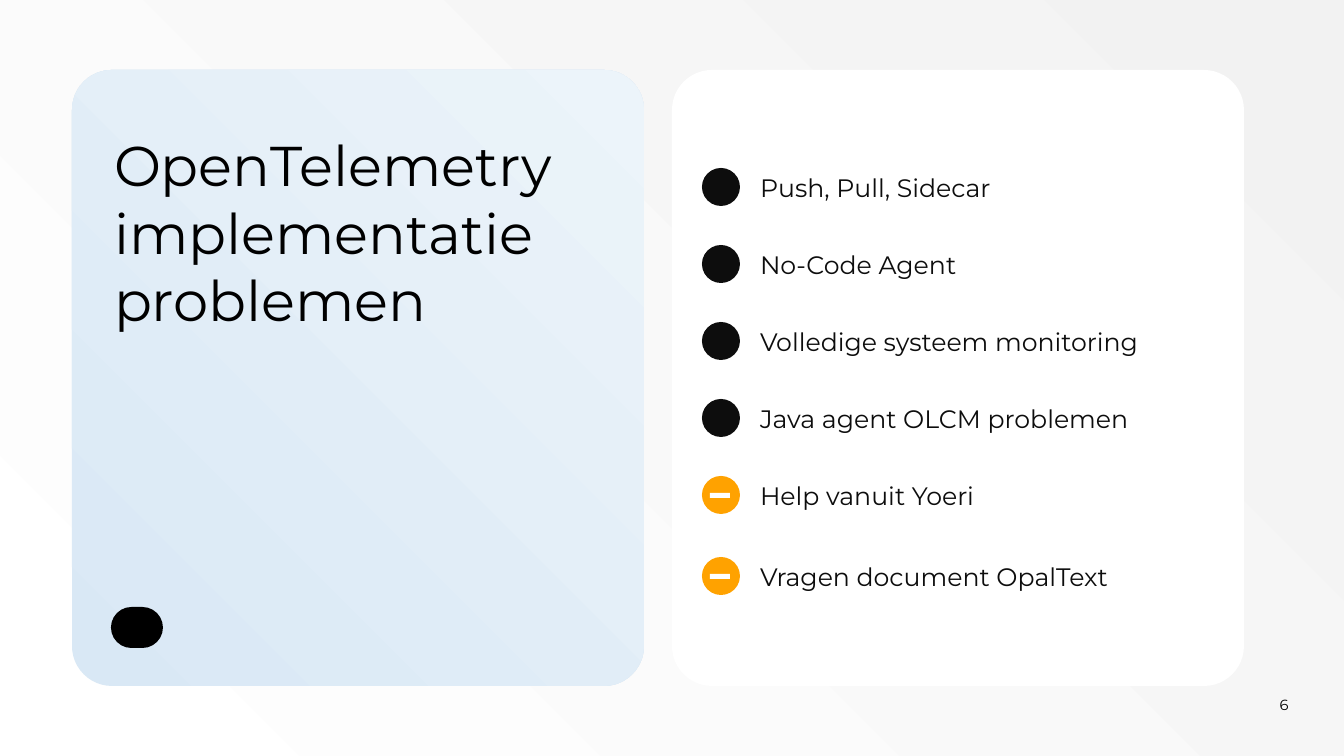
import pptx
import pptx.util
import pptx.dml.color
import pptx.enum.shapes
import pptx.enum.text

KIND = pptx.enum.shapes.MSO_SHAPE
ALIGN = pptx.enum.text.PP_ALIGN
ANCHOR = pptx.enum.text.MSO_ANCHOR
FIT = pptx.enum.text.MSO_AUTO_SIZE

SCALE = 914400 / 100.8  # EMU in one px
COLORS = {
    "white": "FFFFFF", "grey": "F2F2F2", "black": "000000", "ink": "0D0D0D",
    "amber": "FFA200", "blue": "D9E8F5", "pale": "ECF4FA",
}
# Label, colour of its dot, gap to the next row
TOPICS = [
    ("Push, Pull, Sidecar", "ink", 77),
    ("No-Code Agent", "ink", 77),
    ("Volledige systeem monitoring", "ink", 77),
    ("Java agent OLCM problemen", "ink", 77),
    ("Help vanuit Yoeri", "amber", 81),
    ("Vragen document OpalText", "amber", 0),
]


def px(num):
    return pptx.util.Emu(round(num * SCALE))


def color(name):
    return pptx.dml.color.RGBColor.from_string(COLORS[name])


def apply(item, values):
    for name, value in values.items():
        setattr(item, name, value)


def blend(fill, start, end):
    """Diagonal gradient from lower left to upper right."""
    fill.gradient()
    fill.gradient_angle = 45
    for stop, name in zip(fill.gradient_stops, (start, end)):
        stop.color.rgb = color(name)


def add_form(slide, kind, box, tint, round_by=None):
    form = slide.shapes.add_shape(kind, *map(px, box))
    form.shadow.inherit = False
    form.line.fill.background()
    if isinstance(tint, tuple):
        blend(form.fill, *tint)
    else:
        form.fill.solid()
        form.fill.fore_color.rgb = color(tint)
    if round_by is not None:
        form.adjustments[0] = round_by
    return form


def set_text(shape, text, size, tint, pad=3, align=ALIGN.LEFT, anchor=ANCHOR.TOP):
    frame = shape.text_frame
    frame.text = text
    apply(frame, {
        "word_wrap": True, "auto_size": FIT.NONE, "vertical_anchor": anchor,
        "margin_left": px(pad), "margin_top": px(pad),
        "margin_right": px(pad), "margin_bottom": px(pad),
    })
    line = frame.paragraphs[0]
    line.alignment = align
    font = line.runs[0].font
    apply(font, {"name": "Montserrat", "size": pptx.util.Pt(size)})
    font.color.rgb = color(tint)


def add_label(slide, box, *args, **format):
    set_text(slide.shapes.add_textbox(*map(px, box)), *args, **format)


def add_title(slide, box, text):
    title = slide.shapes.title
    apply(title, dict(zip(("left", "top", "width", "height"), map(px, box))))
    set_text(title, text, 40, "black")
    # Bring the title in front of its panel
    title.element.getparent().append(title.element)


def add_topic(slide, top, text, tint):
    add_label(slide, (757, top, 448, 36), text, 18, "ink", anchor=ANCHOR.MIDDLE)
    add_form(slide, KIND.OVAL, (702, top - 1, 38, 38), tint)
    if tint == "amber":  # minus sign
        add_form(slide, KIND.RECTANGLE, (710, top + 16, 20, 5), "white")


def main():
    deck = pptx.Presentation()
    apply(deck, {"slide_width": px(1344), "slide_height": px(756)})
    slide = deck.slides.add_slide(deck.slide_layouts[5])
    blend(slide.background.fill, "white", "grey")

    # Panels
    for left, tint in ((672, "white"), (72, ("blue", "pale"))):
        add_form(slide, KIND.ROUNDED_RECTANGLE, (left, 70, 572, 616), tint, 0.07)

    # Left side
    add_title(slide, (111, 128, 491, 210), "OpenTelemetry implementatie problemen")
    add_form(slide, KIND.ROUNDED_RECTANGLE, (111, 607, 52, 41), "black", 0.5)

    # Right side
    top = 169
    for text, tint, gap in TOPICS:
        add_topic(slide, top, text, tint)
        top += gap

    # Page number
    add_label(slide, (1251, 696, 66, 29), "6", 10.5, "black", pad=0, align=ALIGN.CENTER)
    deck.save("out.pptx")


if __name__ == "__main__":
    main()
